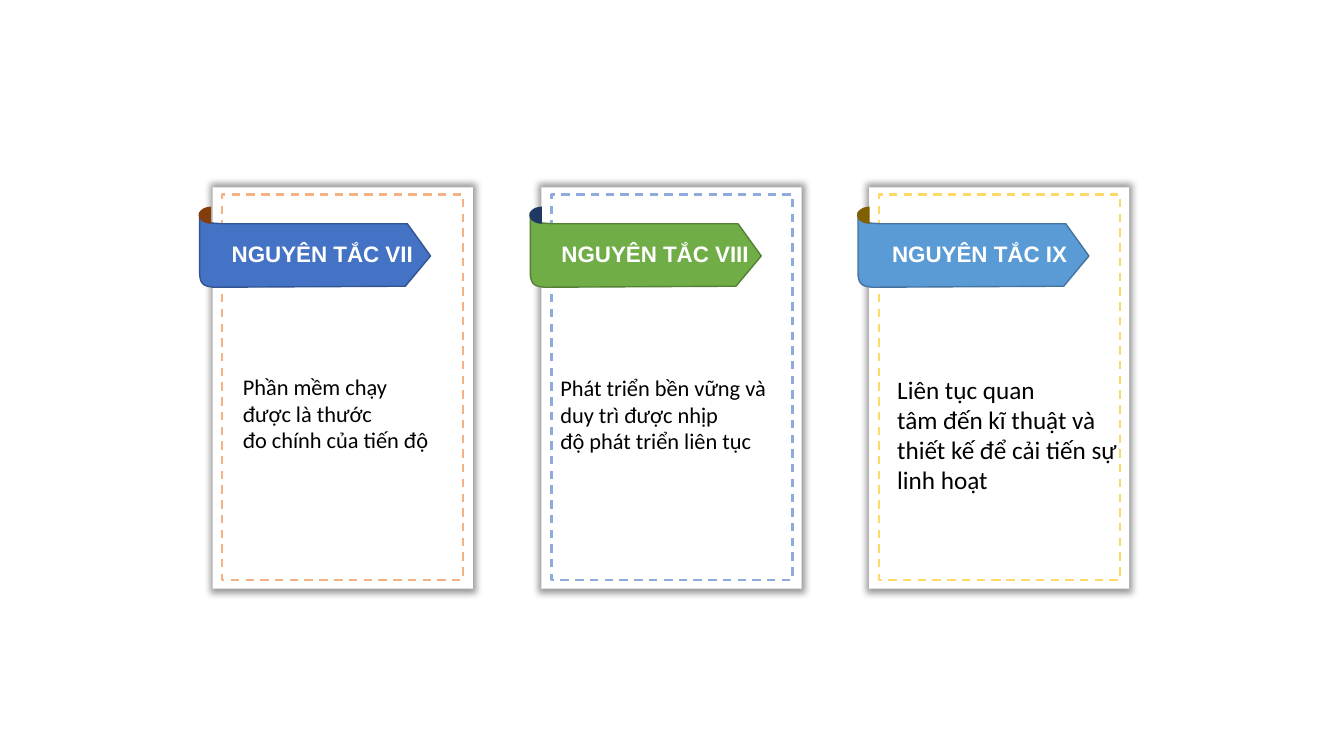
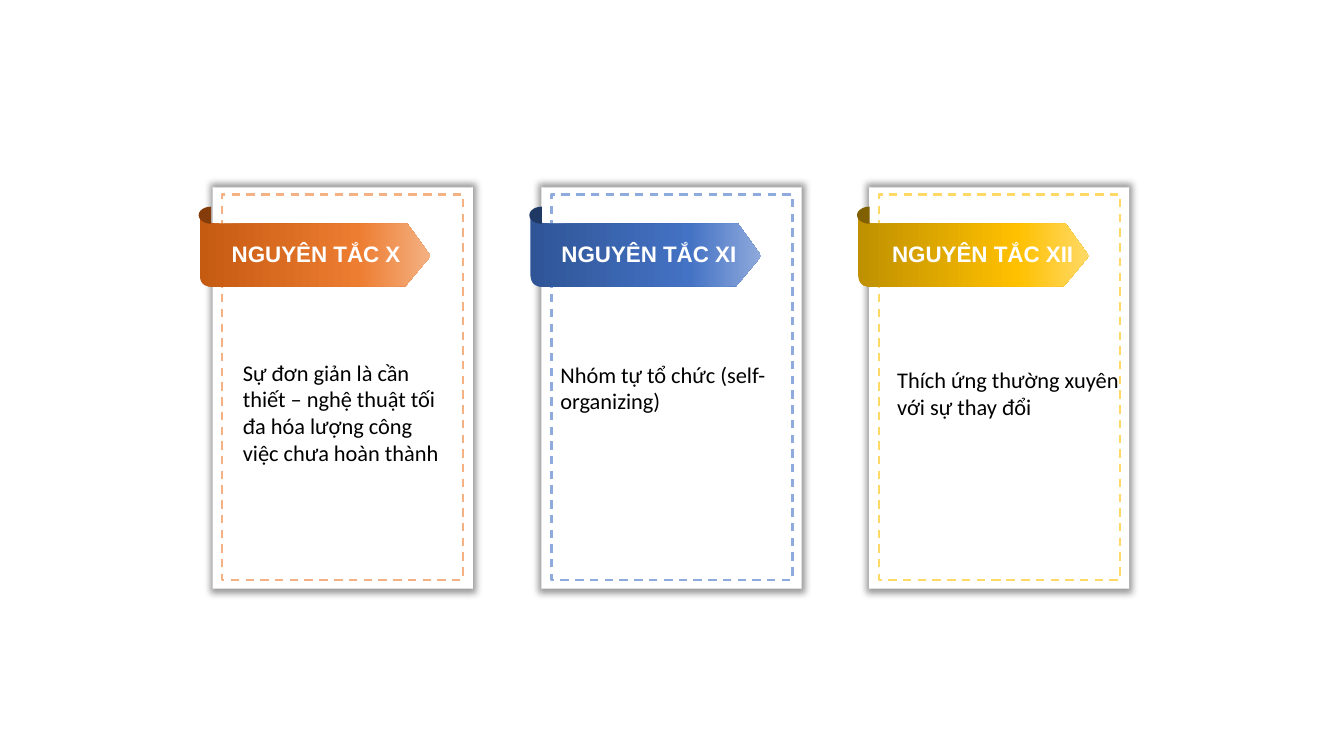
"""Build two slides of principle cards with folded ribbon headings."""
from copy import deepcopy
from dataclasses import dataclass
from typing import NamedTuple, Optional

from lxml.etree import SubElement
from pptx import Presentation
from pptx.dml.color import RGBColor
from pptx.enum.dml import MSO_LINE_DASH_STYLE as Dash
from pptx.enum.shapes import MSO_SHAPE as Preset
from pptx.enum.text import MSO_ANCHOR as Anchor
from pptx.oxml.ns import qn
from pptx.util import Inches, Pt


@dataclass(frozen=True)
class Theme:
    paper: str = "FFFFFF"
    ink: str = "000000"
    heading_font: str = "Arial"
    body_font: str = "Calibri"
    text_size: int = 16
    large_size: int = 18
    dash_width: float = 1.5
    ribbon_line: float = 1
    middle_stop: float = 0.69


class Column(NamedTuple):
    panel: float
    frame: float
    ribbon: float
    heading: float
    body: float
    body_width: float
    frame_color: str
    fold_color: str


class Card(NamedTuple):
    heading: str
    body: str
    body_top: float
    ribbon_colors: tuple[str, ...]
    ribbon_edge: Optional[str] = None
    body_size: int = Theme.text_size


class Point(NamedTuple):
    x: float
    y: float


THEME = Theme()
COLUMNS = (
    Column(2.11, 2.2, 1.98, 2.2, 2.31, 2.28, "F4B183", "843C0B"),
    Column(5.37, 5.47, 5.26, 5.47, 5.46, 2.44, "8FAADC", "203864"),
    Column(8.62, 8.72, 8.51, 8.75, 8.8, 2.62, "FFD966", "806000"),
)
TIE = "~"
HARD_SPACE = chr(160)
SLIDES = (
    (
        Card("NGUYÊN TẮC VII", "Phần mềm chạy được~là~thước đo~chính~của~tiến độ",
             3.65, ("4472C4",), "325491"),
        Card("NGUYÊN TẮC VIII", "Phát triển bền vững và duy trì~được nhịp độ~phát triển liên tục",
             3.66, ("70AD47",), "538035"),
        Card("NGUYÊN TẮC IX", "Liên tục quan tâm~đến~kĩ thuật và thiết kế~để cải tiến sự linh hoạt",
             3.66, ("5B9BD5",), "43739E", THEME.large_size),
    ),
    (
        Card("NGUYÊN TẮC X", "Sự đơn giản là cần thiết – nghệ thuật tối đa hóa lượng công việc chưa hoàn thành",
             3.51, ("C55A11", "ED7D31", "F4B183")),
        Card("NGUYÊN TẮC XI", "Nhóm tự tổ chức (self-organizing)",
             3.53, ("2F5597", "4472C4", "8FAADC")),
        Card("NGUYÊN TẮC XII", "Thích ứng thường xuyên với sự thay đổi",
             3.58, ("BF9000", "FFC000", "FFD966")),
    ),
)
RIBBON_TOP = 2.11
CURVE_STEPS = 10


def color(code: str) -> RGBColor:
    """Return the colour for a hex code."""
    return RGBColor.from_string(code)


def curve(*controls: Point) -> list[Point]:
    """Return points along a cubic curve, leaving out its start."""
    points = []
    for step in range(1, CURVE_STEPS + 1):
        t = step / CURVE_STEPS
        weights = ((1 - t) ** 3, 3 * t * (1 - t) ** 2, 3 * t * t * (1 - t), t ** 3)
        points.append(Point(sum(w * c.x for w, c in zip(weights, controls)),
                            sum(w * c.y for w, c in zip(weights, controls))))
    return points


RIBBON_OUTLINE = [
    Point(0.14, 0.74), Point(2.04, 0.73), Point(2.29, 0.43), Point(2.06, 0.11), Point(0.21, 0.11),
    *curve(Point(0.21, 0.11), Point(0.13, 0.1), Point(0.02, 0.12), Point(0, 0)),
    Point(0, 0.59),
    *curve(Point(0, 0.59), Point(0, 0.72), Point(0.05, 0.73), Point(0.14, 0.74)),
]


def style(shape, fills: tuple[str, ...] = (), edge: Optional[str] = None, width: float = 1) -> None:
    """Give a shape no shadow, a plain or gradient fill, and an optional edge."""
    shape.shadow.inherit = False
    if len(fills) > 1:
        shape.fill.gradient()
        shape.fill.gradient_angle = 0
        stops = shape._element.spPr.find(".//" + qn("a:gsLst"))
        stops.append(deepcopy(stops[-1]))
        for stop, code, place in zip(shape.fill.gradient_stops, fills, (0, THEME.middle_stop, 1)):
            stop.color.rgb = color(code)
            stop.position = place
    elif fills:
        shape.fill.solid()
        shape.fill.fore_color.rgb = color(fills[0])
    else:
        shape.fill.background()
    if edge:
        shape.line.color.rgb = color(edge)
        shape.line.width = Pt(width)
    else:
        shape.line.fill.background()


def add_glow(shape) -> None:
    """Put a soft shadow on all sides of a shape."""
    effects = shape._element.spPr.find(qn("a:effectLst"))
    shadow = SubElement(effects, qn("a:outerShdw"), blurRad=str(Pt(5)), sx="102000", sy="102000",
                        algn="ctr", rotWithShape="0")
    shade = SubElement(shadow, qn("a:srgbClr"), val=THEME.ink)
    SubElement(shade, qn("a:alpha"), val="40000")


def add_text(slide, text: str, *, left: float, top: float, width: float, height: float,
             font: str, size: int, ink: str, bold: bool = False, wrap: bool = True,
             anchor: Anchor = Anchor.TOP) -> None:
    """Add a text box in the given format, with ties as hard spaces."""
    frame = slide.shapes.add_textbox(Inches(left), Inches(top), Inches(width), Inches(height)).text_frame
    frame.word_wrap = wrap
    frame.vertical_anchor = anchor
    run = frame.paragraphs[0].add_run()
    run.text = text.replace(TIE, HARD_SPACE)
    run.font.name = font
    run.font.size = Pt(size)
    run.font.bold = bold
    run.font.color.rgb = color(ink)


def add_panel(slide, column: Column) -> None:
    """Add the white panel with its dashed frame."""
    shapes = slide.shapes.add_group_shape().shapes
    panel = shapes.add_shape(Preset.RECTANGLE, Inches(column.panel), Inches(1.86), Inches(2.58), Inches(3.98))
    style(panel, (THEME.paper,))
    add_glow(panel)
    frame = shapes.add_shape(Preset.RECTANGLE, Inches(column.frame), Inches(1.93), Inches(2.39), Inches(3.82))
    style(frame, edge=column.frame_color, width=THEME.dash_width)
    frame.line.dash_style = Dash.DASH


def add_ribbon(slide, column: Column, card: Card) -> None:
    """Add the arrow ribbon and the fold behind the panel edge."""
    shapes = slide.shapes.add_group_shape().shapes
    outline = [(Inches(column.ribbon + point.x), Inches(RIBBON_TOP + point.y)) for point in RIBBON_OUTLINE]
    builder = shapes.build_freeform(*outline[0])
    builder.add_line_segments(outline[1:], close=True)
    style(builder.convert_to_shape(), card.ribbon_colors, card.ribbon_edge, THEME.ribbon_line)
    fold = shapes.add_shape(Preset.PIE, Inches(column.ribbon - 0.01), Inches(2.05), Inches(0.25), Inches(0.17))
    fold.adjustments[0] = 54
    fold.adjustments[1] = 162
    style(fold, (column.fold_color,))


def add_card(slide, column: Column, card: Card) -> None:
    """Add one principle with its panel, ribbon, heading and body."""
    add_panel(slide, column)
    add_ribbon(slide, column, card)
    add_text(slide, card.body, left=column.body, top=card.body_top, width=column.body_width, height=1.2,
             font=THEME.body_font, size=card.body_size, ink=THEME.ink)
    add_text(slide, card.heading, left=column.heading, top=2.33, width=2.1, height=0.37,
             font=THEME.heading_font, size=THEME.text_size, ink=THEME.paper, bold=True, wrap=False,
             anchor=Anchor.MIDDLE)


def main() -> None:
    """Build and save the presentation."""
    deck = Presentation()
    deck.slide_width = Inches(13.33)
    deck.slide_height = Inches(7.5)
    for cards in SLIDES:
        slide = deck.slides.add_slide(deck.slide_layouts[6])
        for column, card in zip(COLUMNS, cards):
            add_card(slide, column, card)
    deck.save("out.pptx")


if __name__ == "__main__":
    main()
